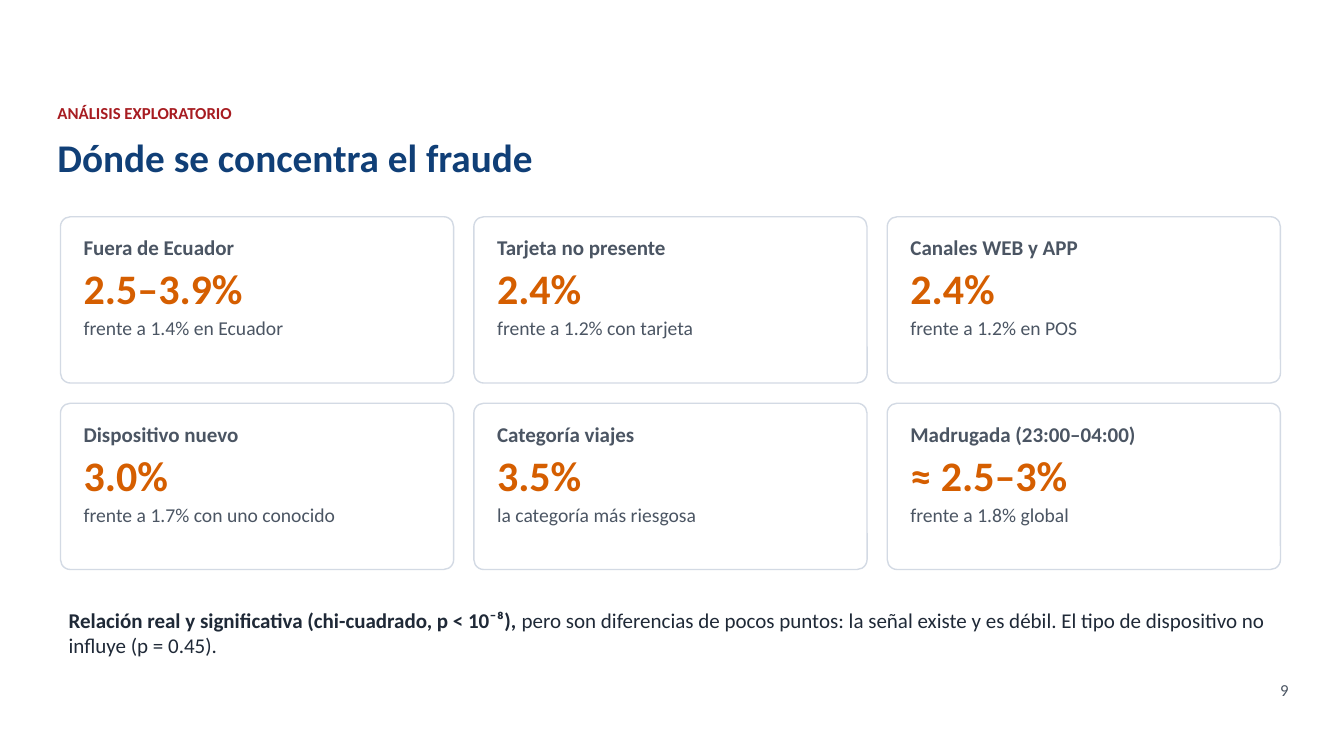
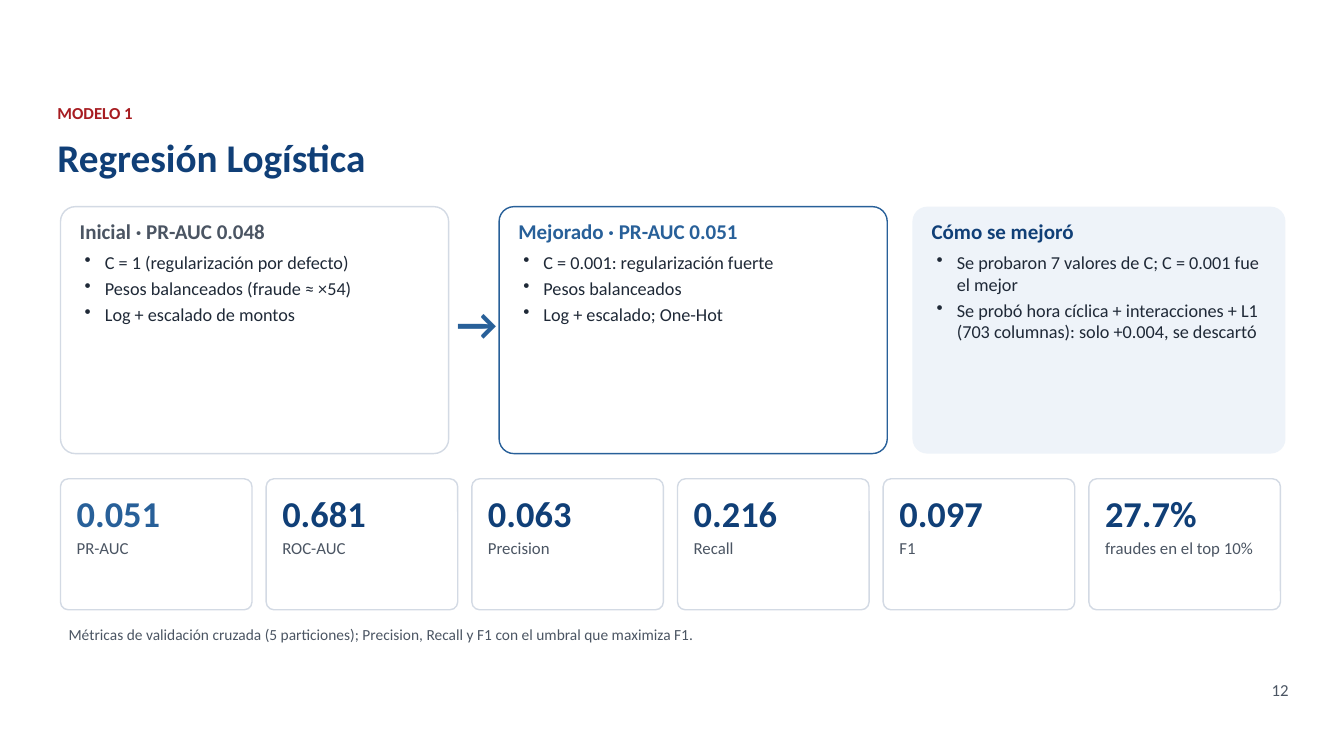
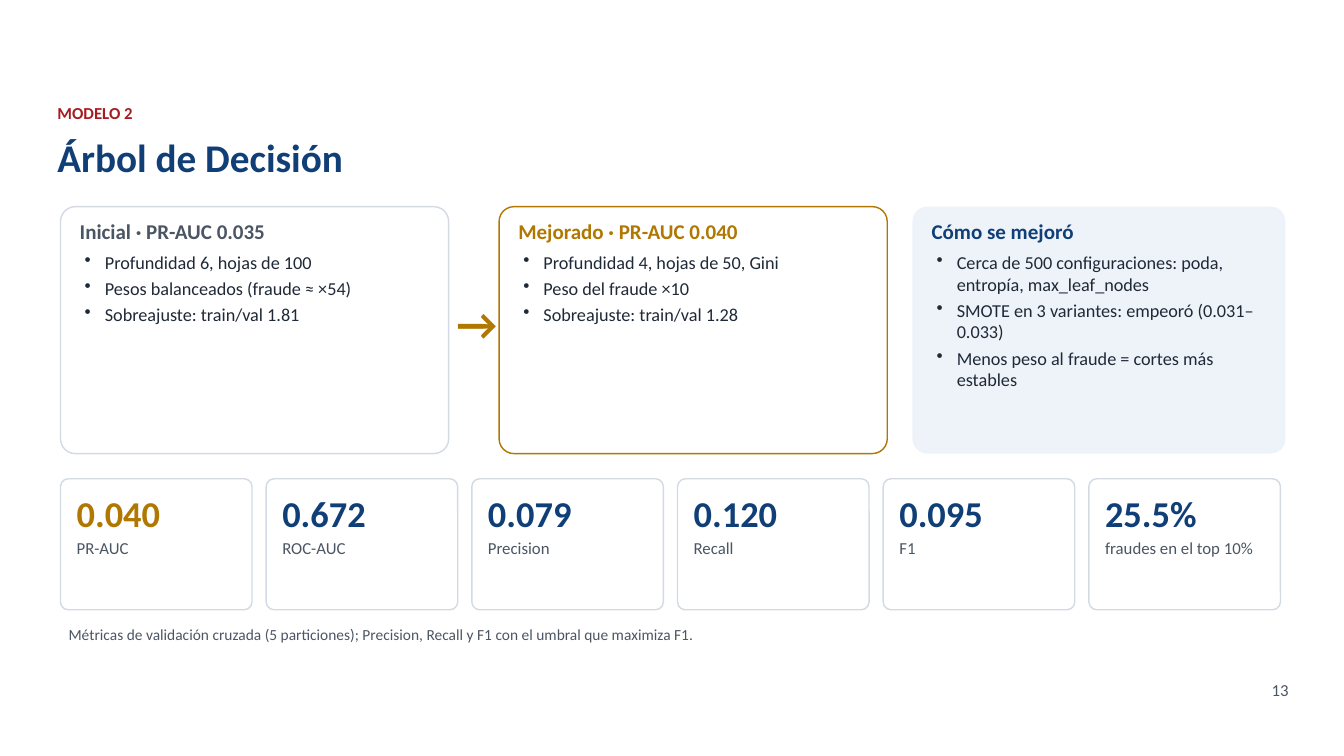
"""Build three slides on fraud patterns and the models that detect it."""
import pptx
import pptx.dml.color
import pptx.enum.shapes
import pptx.enum.text
import pptx.oxml.ns
import pptx.util
from lxml import etree
from pptx.util import Inches

FONT = "Calibri"
NAVY, BLUE, GOLD = "103F77", "286099", "B07800"
RED, ORANGE = "A71C21", "D55E00"
INK, GREY, EDGE = "1F2937", "4B5563", "D3DAE4"
PALE, WHITE = "EEF3F9", "FFFFFF"
LEFT = 0.6
NOTE = ("Métricas de validación cruzada (5 particiones); "
        "Precision, Recall y F1 con el umbral que maximiza F1.")
LABELS = ["PR-AUC", "ROC-AUC", "Precision", "Recall", "F1",
          "fraudes en el top 10%"]


def color(code):
    """Turn a hex string into a colour."""
    return pptx.dml.color.RGBColor.from_string(code)


def para(*runs, gap=4, mark=False):
    """Describe a paragraph; each run is text, size, colour, bold."""
    return runs, gap, mark


def bullet(item):
    """Give a paragraph a hanging bullet."""
    props = item._p.get_or_add_pPr()
    props.set("marL", str(Inches(0.25)))
    props.set("indent", str(Inches(-0.2)))
    etree.SubElement(props, pptx.oxml.ns.qn("a:buChar")).set("char", "•")


def write(slide, area, paras, pad=0.08, align="LEFT"):
    """Add a text box with its paragraphs."""
    box = slide.shapes.add_textbox(*map(Inches, area))
    frame = box.text_frame
    frame.word_wrap = True
    frame.auto_size = pptx.enum.text.MSO_AUTO_SIZE.SHAPE_TO_FIT_TEXT
    frame.margin_left = frame.margin_right = Inches(pad)
    frame.margin_top = frame.margin_bottom = Inches(pad)
    for pos, (runs, gap, mark) in enumerate(paras):
        item = frame.add_paragraph() if pos else frame.paragraphs[0]
        if mark:
            bullet(item)
        item.alignment = getattr(pptx.enum.text.PP_ALIGN, align)
        item.space_after = pptx.util.Pt(gap)
        for text, size, tint, bold in runs:
            run = item.add_run()
            run.text = text
            run.font.name = FONT
            run.font.size = pptx.util.Pt(size)
            run.font.bold = bold
            run.font.color.rgb = color(tint)


def card(slide, area, paras, inset, pad, fill=WHITE, edge=EDGE):
    """Draw a rounded card and the text inside it."""
    kind = pptx.enum.shapes.MSO_SHAPE.ROUNDED_RECTANGLE
    shape = slide.shapes.add_shape(kind, *map(Inches, area))
    shape.adjustments[0] = 0.06
    shape.shadow.inherit = False
    shape.fill.solid()
    shape.fill.fore_color.rgb = color(fill)
    if edge:
        shape.line.color.rgb = color(edge)
        shape.line.width = pptx.util.Pt(1)
    else:
        shape.line.fill.background()
    left, top, width, height = area
    dx, dy = inset
    inner = (left + dx, top + dy, width - 2 * dx, height - 2 * dy)
    write(slide, inner, paras, pad)


def start(deck, label, title, number):
    """Add a slide with its label, title and page number."""
    slide = deck.slides.add_slide(deck.slide_layouts[6])
    write(slide, (0.55, 1, 12.2, 0.35),
          [para((label, 12, RED, True))], 0.02)
    write(slide, (0.55, 1.3, 12.2, 0.7),
          [para((title, 28, NAVY, True))], 0.02)
    write(slide, (11.6, 6.72, 1.2, 0.3),
          [para((number, 12, GREY, False))], 0.02, "RIGHT")
    return slide


def rates(slide, facts):
    """Lay out fraud rates in a grid of three columns."""
    for pos, (name, rate, base) in enumerate(facts):
        row, col = divmod(pos, 3)
        area = (LEFT + 4.1 * col, 2.15 + 1.85 * row, 3.9, 1.65)
        card(slide, area, [
            para((name, 15, GREY, True), gap=2),
            para((rate, 30, ORANGE, True), gap=2),
            para((base, 14, GREY, False)),
        ], (0.15, 0.1), 0.08)


def panel(slide, left, width, head, tint, points, **look):
    """Draw a card with a heading and bullets."""
    paras = [para((head, 15, tint, True), gap=5)]
    paras += [para((point, 13, INK, False), gap=3, mark=True)
              for point in points]
    card(slide, (left, 2.05, width, 2.45), paras, (0.15, 0.08), 0.04, **look)


def scores(slide, values, tint):
    """Lay out the metrics in a row, the first one highlighted."""
    for pos, (value, label) in enumerate(zip(values, LABELS)):
        shade = NAVY if pos else tint
        card(slide, (LEFT + 2.04 * pos, 4.75, 1.9, 1.3), [
            para((value, 26, shade, True), gap=2),
            para((label, 12, GREY, False)),
        ], (0.12, 0.08), 0.04)


def model(slide, tint, base, first, final, steps, values):
    """Fill a slide that compares two versions of a model."""
    panel(slide, LEFT, 3.85, f"Inicial · PR-AUC {base}", GREY, first)
    write(slide, (4.45, 2.85, 0.5, 0.6),
          [para(("→", 32, tint, True))], align="CENTER")
    panel(slide, 4.95, 3.85, f"Mejorado · PR-AUC {values[0]}", tint, final,
          edge=tint)
    panel(slide, 9.05, 3.7, "Cómo se mejoró", NAVY, steps,
          fill=PALE, edge=None)
    scores(slide, values, tint)
    write(slide, (LEFT, 6.12, 12.15, 0.35),
          [para((NOTE, 11, GREY, False))])


def main():
    """Build and save the deck."""
    deck = pptx.Presentation()
    deck.slide_width, deck.slide_height = Inches(13.33), Inches(7.5)

    slide = start(deck, "ANÁLISIS EXPLORATORIO",
                  "Dónde se concentra el fraude", "9")
    rates(slide, [
        ("Fuera de Ecuador", "2.5–3.9%", "frente a 1.4% en Ecuador"),
        ("Tarjeta no presente", "2.4%", "frente a 1.2% con tarjeta"),
        ("Canales WEB y APP", "2.4%", "frente a 1.2% en POS"),
        ("Dispositivo nuevo", "3.0%", "frente a 1.7% con uno conocido"),
        ("Categoría viajes", "3.5%", "la categoría más riesgosa"),
        ("Madrugada (23:00–04:00)", "≈ 2.5–3%", "frente a 1.8% global"),
    ])
    write(slide, (LEFT, 5.95, 12.15, 0.7), [para(
        ("Relación real y significativa (chi-cuadrado, p < 10⁻⁸), ",
         15, INK, True),
        ("pero son diferencias de pocos puntos: la señal existe y es débil. "
         "El tipo de dispositivo no influye (p = 0.45).", 15, INK, False),
    )])

    slide = start(deck, "MODELO 1", "Regresión Logística", "12")
    model(slide, BLUE, "0.048",
          ["C = 1 (regularización por defecto)",
           "Pesos balanceados (fraude ≈ ×54)",
           "Log + escalado de montos"],
          ["C = 0.001: regularización fuerte",
           "Pesos balanceados",
           "Log + escalado; One-Hot"],
          ["Se probaron 7 valores de C; C = 0.001 fue el mejor",
           "Se probó hora cíclica + interacciones + L1 (703 columnas): "
           "solo +0.004, se descartó"],
          ["0.051", "0.681", "0.063", "0.216", "0.097", "27.7%"])

    slide = start(deck, "MODELO 2", "Árbol de Decisión", "13")
    model(slide, GOLD, "0.035",
          ["Profundidad 6, hojas de 100",
           "Pesos balanceados (fraude ≈ ×54)",
           "Sobreajuste: train/val 1.81"],
          ["Profundidad 4, hojas de 50, Gini",
           "Peso del fraude ×10",
           "Sobreajuste: train/val 1.28"],
          ["Cerca de 500 configuraciones: poda, entropía, max_leaf_nodes",
           "SMOTE en 3 variantes: empeoró (0.031–0.033)",
           "Menos peso al fraude = cortes más estables"],
          ["0.040", "0.672", "0.079", "0.120", "0.095", "25.5%"])

    deck.save("out.pptx")


if __name__ == "__main__":
    main()
